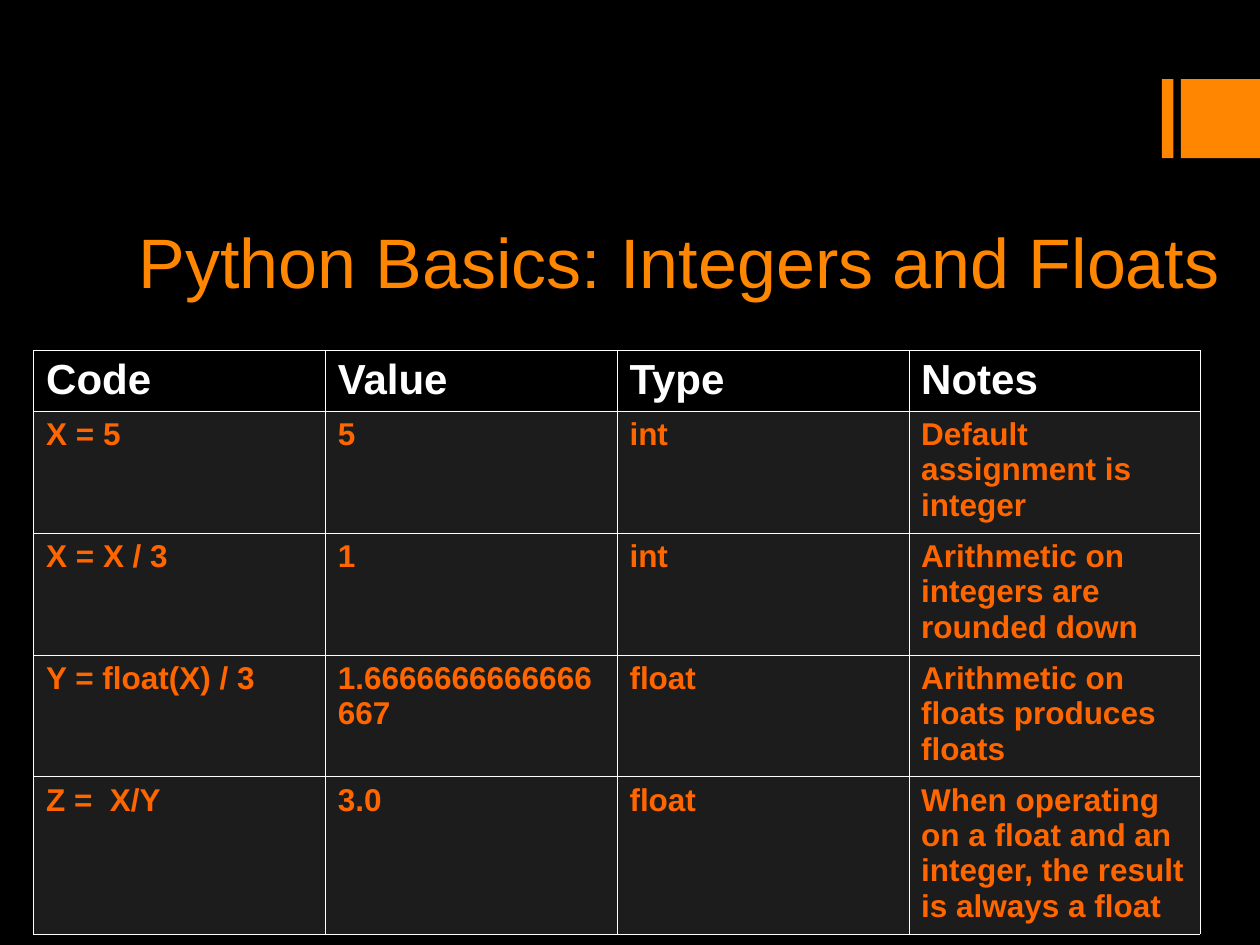
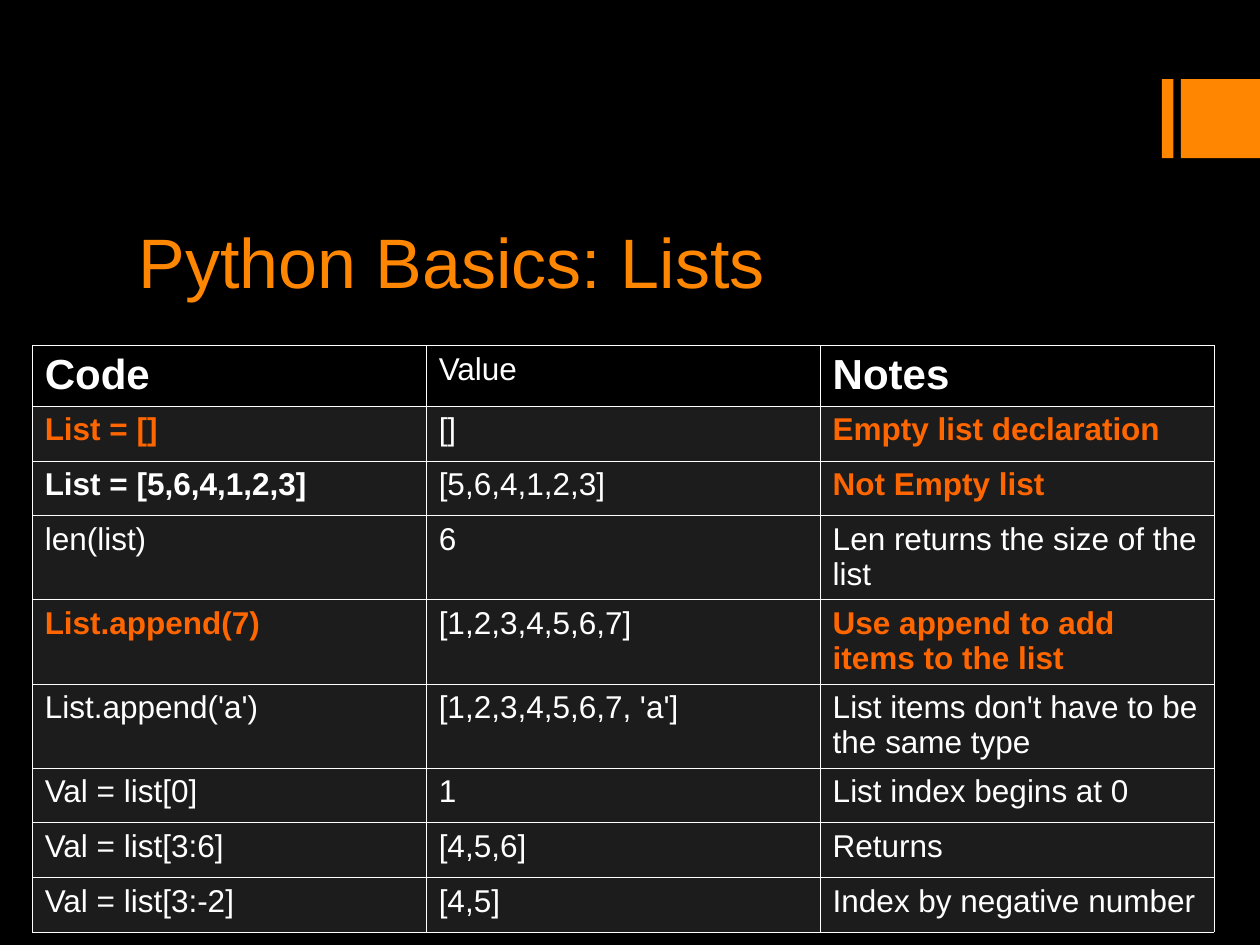
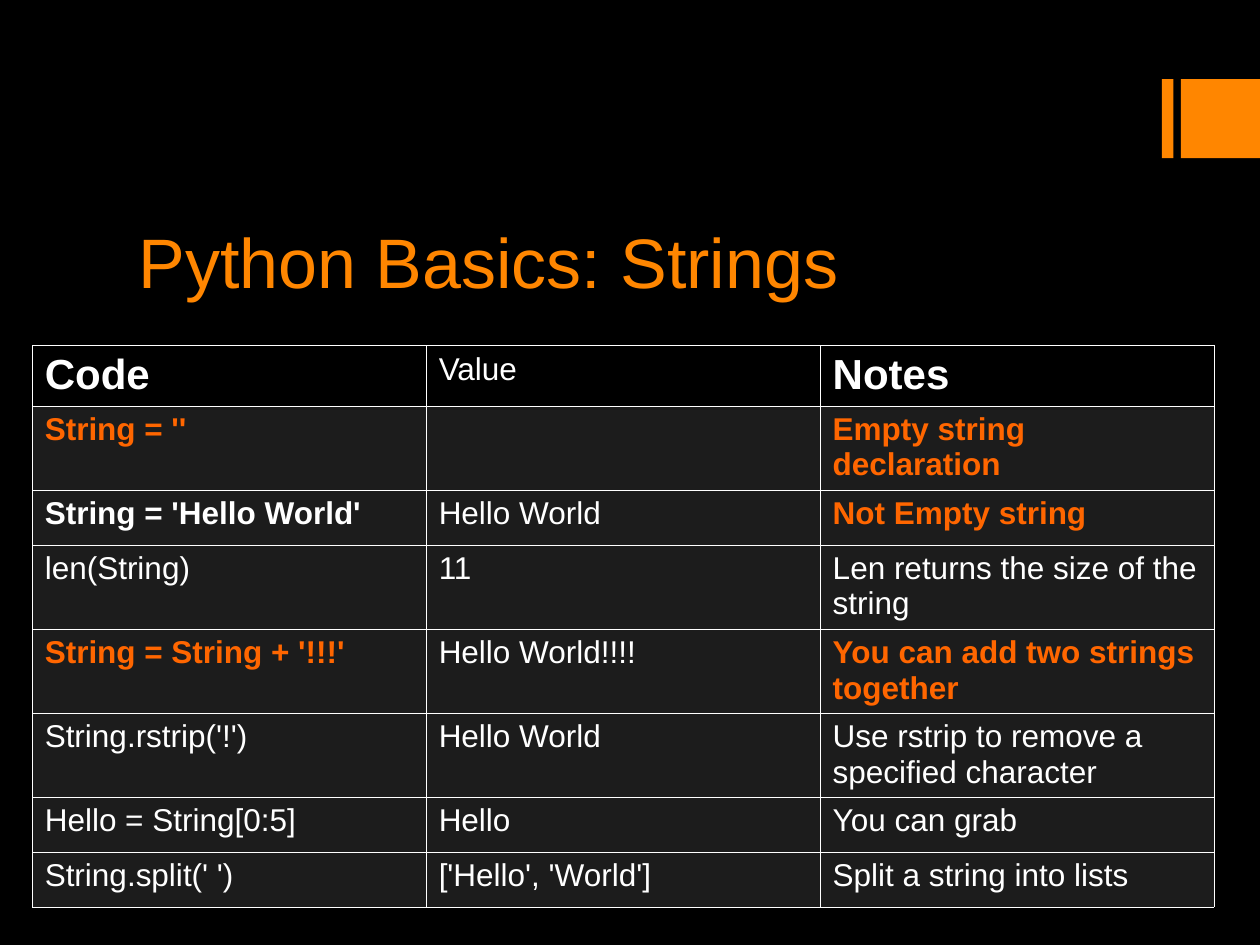
from lxml import etree
from pptx import Presentation
from pptx.dml.color import RGBColor
from pptx.enum.shapes import MSO_SHAPE
from pptx.enum.text import MSO_ANCHOR, MSO_AUTO_SIZE, PP_ALIGN
from pptx.oxml.ns import qn
from pptx.util import Pt

RECTANGLE = MSO_SHAPE.RECTANGLE
TOP = MSO_ANCHOR.TOP
LEFT = PP_ALIGN.LEFT
NO_AUTOFIT = MSO_AUTO_SIZE.NONE

COLORS = {
    "background": "000000",
    "orange": "FF8600",
    "accent": "FF6600",
    "white": "FFFFFF",
    "row": "1C1C1C",
}
FONT = "Arial"
TITLE_ONLY = 5
BORDER_WIDTH = 0.06
BAND_BOX = (663.9, 45.2, 56.1, 45.2)
STRIPE_WIDTH = 6.6
TITLE_BOX = (72, 121.5, 576, 90.75)
WIDE_TITLE_BOX = (72, 121.5, 639, 90.75)

HEADER_HEIGHT = 34.5
ONE_LINE = 31.3
TWO_LINES = 48.1
THREE_LINES = 69.7
FOUR_LINES = 90

STYLES = {
    "H": (24, "white", True),
    "A": (18, "accent", True),
    "B": (18, "white", True),
    "P": (18, "white", False),
}

NUMBERS = [
    (HEADER_HEIGHT, "HHHH", ("Code", "Value", "Type", "Notes")),
    (THREE_LINES, "AAAA", ("X = 5", "5", "int", "Default assignment is integer")),
    (THREE_LINES, "AAAA", ("X = X / 3", "1", "int", "Arithmetic on integers are rounded down")),
    (THREE_LINES, "AAAA", ("Y = float(X) / 3", "1.6666666666666667", "float",
                           "Arithmetic on floats produces floats")),
    (FOUR_LINES, "AAAA", ("Z =  X/Y", "3.0", "float",
                          "When operating on a float and an integer, the result is always a float")),
]
LISTS = [
    (HEADER_HEIGHT, "HPH", ("Code", "Value", "Notes")),
    (ONE_LINE, "APA", ("List = []", "[]", "Empty list declaration")),
    (ONE_LINE, "BPA", ("List = [5,6,4,1,2,3]", "[5,6,4,1,2,3]", "Not Empty list")),
    (TWO_LINES, "PPP", ("len(list)", "6", "Len returns the size of the list")),
    (TWO_LINES, "APA", ("List.append(7)", "[1,2,3,4,5,6,7]", "Use append to add items to the list")),
    (TWO_LINES, "PPP", ("List.append('a')", "[1,2,3,4,5,6,7, 'a']",
                        "List items don't have to be the same type")),
    (ONE_LINE, "PPP", ("Val = list[0]", "1", "List index begins at 0")),
    (ONE_LINE, "PPP", ("Val = list[3:6]", "[4,5,6]", "Returns")),
    (ONE_LINE, "PPP", ("Val = list[3:-2]", "[4,5]", "Index by negative number")),
]
STRINGS = [
    (HEADER_HEIGHT, "HPH", ("Code", "Value", "Notes")),
    (TWO_LINES, "APA", ("String = ''", "", "Empty string declaration")),
    (ONE_LINE, "BPA", ("String = 'Hello World'", "Hello World", "Not Empty string")),
    (TWO_LINES, "PPP", ("len(String)", "11", "Len returns the size of the string")),
    (TWO_LINES, "APA", ("String = String + '!!!'", "Hello World!!!!",
                        "You can add two strings together")),
    (TWO_LINES, "PPP", ("String.rstrip('!')", "Hello World",
                        "Use rstrip to remove a specified character")),
    (ONE_LINE, "PPP", ("Hello = String[0:5]", "Hello", "You can grab")),
    (ONE_LINE, "PPP", ("String.split(' ')", "['Hello', 'World']", "Split a string into lists")),
]


def rgb(name):
    return RGBColor.from_string(COLORS[name])


def paint(fill, name):
    fill.solid()
    fill.fore_color.rgb = rgb(name)


def style_font(font, size, color, bold):
    font.name = FONT
    font.size = Pt(size)
    font.bold = bold
    font.color.rgb = rgb(color)


def add_band(slide, box):
    left, top, width, height = box
    for x, part_width in ((left, STRIPE_WIDTH), (left + width - height, height)):
        bar = slide.shapes.add_shape(RECTANGLE, Pt(x), Pt(top), Pt(part_width), Pt(height))
        bar.shadow.inherit = False
        paint(bar.fill, "orange")
        bar.line.fill.background()


def add_title(slide, text, box):
    title = slide.shapes.title
    title.left, title.top, title.width, title.height = map(Pt, box)
    frame = title.text_frame
    frame.text = text
    frame.word_wrap = True
    frame.auto_size = NO_AUTOFIT
    frame.vertical_anchor = TOP
    heading = frame.paragraphs[0]
    heading.alignment = LEFT
    style_font(heading.runs[0].font, 40, "orange", False)


def add_borders(cell):
    properties = cell._tc.get_or_add_tcPr()
    for side in ("a:lnL", "a:lnR", "a:lnT", "a:lnB"):
        line = etree.SubElement(properties, qn(side), w=str(Pt(BORDER_WIDTH)))
        fill = etree.SubElement(line, qn("a:solidFill"))
        etree.SubElement(fill, qn("a:srgbClr"), val=COLORS["white"])


def fill_cell(cell, text, style, background):
    add_borders(cell)
    paint(cell.fill, background)
    cell.text = text
    paragraph = cell.text_frame.paragraphs[0]
    size, color, bold = STYLES[style]
    paragraph.font.size = Pt(size)
    for run in paragraph.runs:
        style_font(run.font, size, color, bold)


def add_examples(slide, examples, box):
    left, top, width = box
    column_count = len(examples[0][2])
    height = sum(row_height for row_height, _, _ in examples)
    table = slide.shapes.add_table(
        len(examples), column_count, Pt(left), Pt(top), Pt(width), Pt(height)
    ).table
    for column in table.columns:
        column.width = Pt(width / column_count)
    for index, (row_height, styles, texts) in enumerate(examples):
        table.rows[index].height = Pt(row_height)
        background = "row" if index else "background"
        for cell, text, style in zip(table.rows[index].cells, texts, styles):
            fill_cell(cell, text, style, background)


def add_topic(deck, title, title_box, examples, table_box):
    slide = deck.slides.add_slide(deck.slide_layouts[TITLE_ONLY])
    add_band(slide, BAND_BOX)
    add_title(slide, title, title_box)
    add_examples(slide, examples, table_box)


def main():
    deck = Presentation()
    deck.slide_width, deck.slide_height = Pt(720), Pt(540)
    paint(deck.slide_master.background.fill, "background")
    numbers_box = (19.2, 200.2, 666.8)
    text_box = (18.4, 197.4, 675.4)
    add_topic(deck, "Python Basics: Integers and Floats", WIDE_TITLE_BOX, NUMBERS, numbers_box)
    add_topic(deck, "Python Basics: Lists", TITLE_BOX, LISTS, text_box)
    add_topic(deck, "Python Basics: Strings", TITLE_BOX, STRINGS, text_box)
    deck.save("out.pptx")


if __name__ == "__main__":
    main()
